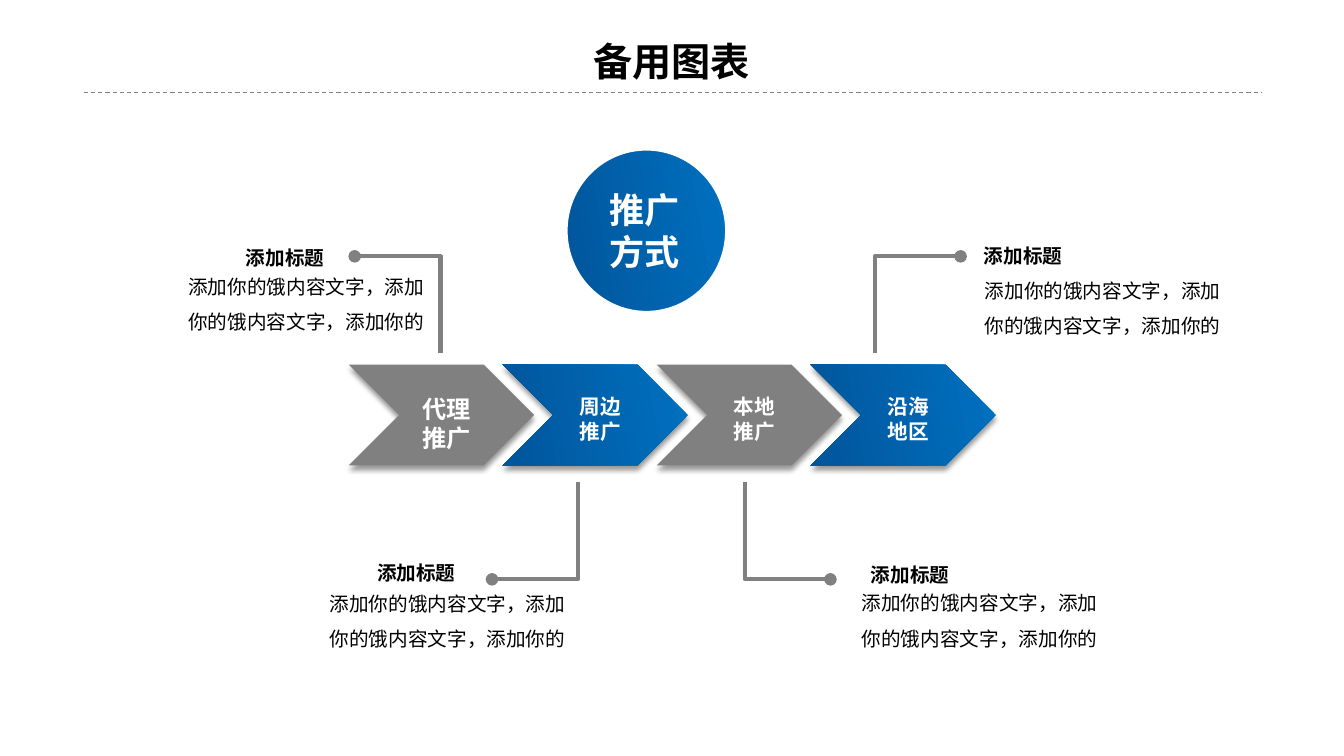
"""Build the promotion-methods process slide."""
from dataclasses import dataclass

from lxml import etree
from pptx import Presentation
from pptx.dml.color import RGBColor
from pptx.enum import dml, shapes, text
from pptx.oxml import ns
from pptx.util import Cm, Pt


@dataclass(frozen=True)
class Theme:
    """Colours, type sizes and font of the slide."""
    black: RGBColor = RGBColor(0x00, 0x00, 0x00)
    white: RGBColor = RGBColor(0xFF, 0xFF, 0xFF)
    grey: RGBColor = RGBColor(0x80, 0x80, 0x80)
    blue: RGBColor = RGBColor(0x00, 0x70, 0xC0)
    navy: RGBColor = RGBColor(0x01, 0x55, 0x9B)
    font: str = "Noto Sans CJK SC"
    title: float = 28
    hub: float = 25.1
    lead_step: float = 17.3
    step: float = 14.7
    note: float = 14


THEME = Theme()
SLIDE_SIZE = (33.87, 19.05)
CHEVRON_LEFT, CHEVRON_TOP, CHEVRON_PITCH = 8.79, 9.19, 3.88
CHEVRON_SIZE = (4.67, 2.54)
LABEL_SHIFT, LABEL_TOP = 0.12, 9.8
ELBOW_SIZE = (2.16, 2.44)
BODY_SIZE = (6.55, 2.06)
HEADING_SIZE = (3.81, 0.86)
STEPS = [
    (("代理", "推广"), THEME.lead_step, (1.75, 1.73)),
    (("周边", "推广"), THEME.step, (1.57, 1.52)),
    (("本地", "推广"), THEME.step, (1.57, 1.52)),
    (("沿海", "地区"), THEME.step, (1.57, 1.52)),
]
NOTE_HEADING = "添加标题"
NOTE_BODY = "添加你的饿内容文字，添加你的饿内容文字，添加你的"
NOTES = [
    {"body": (4.39, 6.5), "heading": (5.28, 6.07), "dot": (8.94, 6.46), "turn": (1, 1)},
    {"body": (7.95, 14.5), "heading": (8.59, 14.02), "dot": (12.4, 14.6), "turn": (1, -1)},
    {"body": (21.36, 14.48), "heading": (21.03, 14.05), "dot": (20.93, 14.6), "turn": (-1, -1)},
    {"body": (24.46, 6.6), "heading": (23.88, 6.02), "dot": (24.21, 6.46), "turn": (-1, 1)},
]


def set_all(target, values):
    """Set each attribute of target named in values."""
    for name, value in values.items():
        setattr(target, name, value)


def cm_box(position, size):
    """Return left, top, width and height as lengths."""
    return [Cm(value) for value in (*position, *size)]


def add_xml(parent, tag, **attributes):
    """Append a drawing element to parent and return it."""
    return etree.SubElement(parent, ns.qn(tag), attributes)


def write(frame, lines, size, color, bold=True, wrap=False, **paragraph_format):
    """Fill a text frame with one paragraph per line."""
    set_all(frame, {"word_wrap": wrap, "auto_size": text.MSO_AUTO_SIZE.SHAPE_TO_FIT_TEXT})
    for index, line in enumerate(lines):
        paragraph = frame.add_paragraph() if index else frame.paragraphs[0]
        set_all(paragraph, {"alignment": text.PP_ALIGN.CENTER, **paragraph_format})
        run = paragraph.add_run()
        run.text = line
        set_all(run.font, {"size": Pt(size), "bold": bold, "name": THEME.font})
        run.font.color.rgb = color
        add_xml(run.font._element, "a:ea", typeface=THEME.font)


def add_text(parent, position, size, lines, type_size, color, **options):
    """Add a text box to a slide or group."""
    label = parent.shapes.add_textbox(*cm_box(position, size))
    write(label.text_frame, lines, type_size, color, **options)


def fill_blue(shape):
    """Give a shape the blue gradient."""
    shape.fill.gradient()
    shape.fill.gradient_angle = 190
    for stop, color in zip(shape.fill.gradient_stops, (THEME.blue, THEME.navy)):
        stop.color.rgb = color
    for stop, position in zip(shape.fill.gradient_stops, (0, 1)):
        stop.position = position


def fill_grey(shape):
    """Give a shape the plain grey fill."""
    shape.fill.solid()
    shape.fill.fore_color.rgb = THEME.grey


def drop_shadow(shape):
    """Add a soft shadow below a shape."""
    effects = shape._element.spPr.find(ns.qn("a:effectLst"))
    shadow = add_xml(effects, "a:outerShdw", blurRad=str(Pt(4)), dist=str(Pt(3)),
                     dir="5400000", algn="t", rotWithShape="0")
    add_xml(add_xml(shadow, "a:srgbClr", val=str(THEME.black)), "a:alpha", val="40000")


def add_line(slide, kind, start, end, width):
    """Add a grey connector without a shadow."""
    line = slide.shapes.add_connector(kind, *[Cm(value) for value in (*start, *end)])
    line.line.color.rgb = THEME.grey
    line.line.width = Pt(width)
    add_xml(line._element.spPr, "a:effectLst")
    return line


def add_title(slide):
    """Place the slide title and the dashed rule under it."""
    title = slide.shapes.title
    set_all(title, dict(zip(("left", "top", "width", "height"),
                            cm_box((9.93, 0.81), (14, 1.45)))))
    write(title.text_frame, ["备用图表"], THEME.title, THEME.black, wrap=True)
    rule = add_line(slide, shapes.MSO_CONNECTOR.STRAIGHT, (2.11, 2.34), (31.78, 2.34), 0.75)
    rule.line.dash_style = dml.MSO_LINE.DASH


def add_step(slide, index, lines, type_size, label_size):
    """Add one chevron with its label."""
    group = slide.shapes.add_group_shape()
    left = CHEVRON_LEFT + index * CHEVRON_PITCH
    chevron = group.shapes.add_shape(shapes.MSO_SHAPE.CHEVRON,
                                     *cm_box((left, CHEVRON_TOP), CHEVRON_SIZE))
    chevron.shadow.inherit = False
    (fill_blue if index % 2 else fill_grey)(chevron)
    chevron.line.fill.background()
    drop_shadow(chevron)
    label_left = left + (CHEVRON_SIZE[0] - label_size[0]) / 2 + LABEL_SHIFT
    add_text(group, (label_left, LABEL_TOP), label_size, lines, type_size, THEME.white)


def add_elbow(slide, dot, turn):
    """Add a bent connector that starts at a dot."""
    end = [start + way * reach for start, way, reach in zip(dot, turn, ELBOW_SIZE)]
    elbow = add_line(slide, shapes.MSO_CONNECTOR.ELBOW, dot, end, 3)
    elbow._element.spPr.find(ns.qn("a:prstGeom")).set("prst", "bentConnector2")
    add_xml(elbow.line._get_or_add_ln(), "a:headEnd", type="oval")


def add_note(slide, body, heading):
    """Add a heading with its body text."""
    group = slide.shapes.add_group_shape()
    add_text(group, body, BODY_SIZE, [NOTE_BODY], THEME.note, THEME.black, bold=False,
             wrap=True, alignment=text.PP_ALIGN.RIGHT, line_spacing=1.5)
    add_text(group, heading, HEADING_SIZE, [NOTE_HEADING], THEME.note, THEME.black)


def add_hub(slide):
    """Add the circle that names the topic."""
    group = slide.shapes.add_group_shape()
    circle = group.shapes.add_shape(shapes.MSO_SHAPE.OVAL, *cm_box((14.27, 3.76), (4.04, 4.11)))
    circle.shadow.inherit = False
    fill_blue(circle)
    circle.line.color.rgb = THEME.white
    circle.line.width = Pt(2)
    add_text(group, (15.09, 4.62), (2.31, 2.41), ["推广", "方式"], THEME.hub, THEME.white)


def main():
    """Build and save the slide."""
    deck = Presentation()
    set_all(deck, dict(zip(("slide_width", "slide_height"), map(Cm, SLIDE_SIZE))))
    slide = deck.slides.add_slide(deck.slide_layouts[5])
    add_title(slide)
    for index, step in enumerate(STEPS):
        add_step(slide, index, *step)
    for note in NOTES:
        add_elbow(slide, note["dot"], note["turn"])
    for note in NOTES:
        add_note(slide, note["body"], note["heading"])
    add_hub(slide)
    deck.save("out.pptx")


if __name__ == "__main__":
    main()
